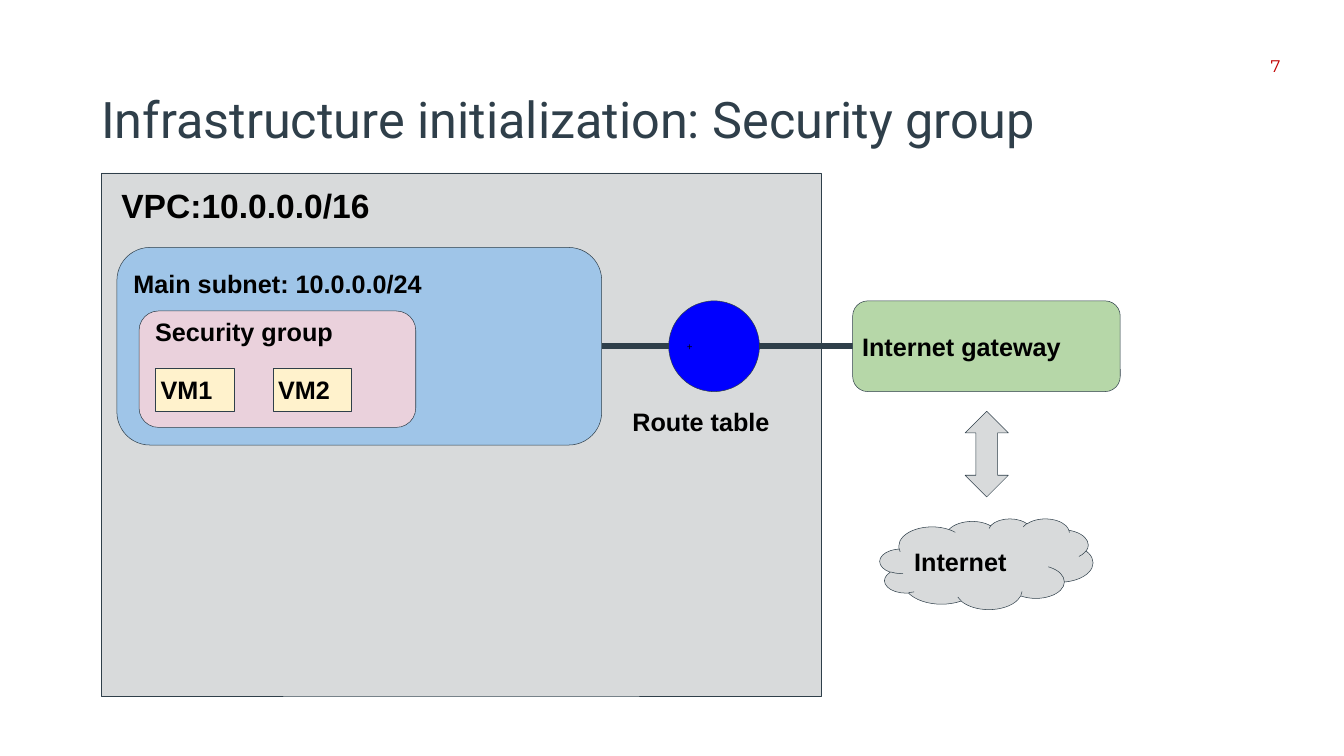
import dataclasses

import pptx
import pptx.dml.color
import pptx.enum.shapes
import pptx.enum.text
import pptx.oxml.ns
import pptx.util
from lxml import etree

PX = 9144
SHAPE = pptx.enum.shapes.MSO_SHAPE
ANCHOR = pptx.enum.text.MSO_ANCHOR
ALIGN = pptx.enum.text.PP_ALIGN


@dataclasses.dataclass(frozen=True)
class Theme:
    """Colours, fonts and type sizes of the slide."""

    ink: str = "2F3F4A"
    text: str = "000000"
    number: str = "C00000"
    grey: str = "D8DADB"
    subnet: str = "9FC5E8"
    group: str = "EAD1DC"
    vm: str = "FFF2CC"
    gateway: str = "B6D7A8"
    router: str = "0000FF"
    title_font: str = "Roboto"
    number_font: str = "Montserrat"
    body_font: str = "Arial"
    title_size: int = 72
    heading_size: int = 48
    body_size: int = 36
    number_size: int = 24
    symbol_size: int = 14
    outline: float = 0.75
    link: int = 9


THEME = Theme()


def px(*lengths):
    """Turn px lengths into EMU."""
    return [pptx.util.Emu(n * PX) for n in lengths]


def rgb(color):
    """Turn a hex string into a colour."""
    return pptx.dml.color.RGBColor.from_string(color)


def within(box, x, y, w, h):
    """Return a box placed relative to the corner of another."""
    return box[0] + x, box[1] + y, w, h


def write(s, text, size=THEME.body_size, font=THEME.body_font, color=THEME.text,
          bold=True, anchor=ANCHOR.MIDDLE, align=ALIGN.LEFT, inset=10):
    """Put one formatted paragraph into a shape."""
    tf = s.text_frame
    tf.text = text
    tf.word_wrap = True
    tf.auto_size = pptx.enum.text.MSO_AUTO_SIZE.NONE
    tf.vertical_anchor = anchor
    tf.margin_left, tf.margin_top, tf.margin_right, tf.margin_bottom = px(*[inset] * 4)
    p = tf.paragraphs[0]
    p.alignment = align
    p.font.size = pptx.util.Pt(size)
    p.font.name = font
    p.font.bold = bold
    p.font.color.rgb = rgb(color)


def add_label(slide, box, text, **style):
    """Add a text box whose text starts at the top."""
    s = slide.shapes.add_textbox(*px(*box))
    write(s, text, **{"anchor": ANCHOR.TOP, **style})


def add_block(slide, kind, box, fill, text=None, **style):
    """Add an outlined shape, with text if there is any."""
    s = slide.shapes.add_shape(kind, *px(*box))
    s.shadow.inherit = False
    s.fill.solid()
    s.fill.fore_color.rgb = rgb(fill)
    s.line.color.rgb = rgb(THEME.ink)
    s.line.width = pptx.util.Pt(THEME.outline)
    if text:
        write(s, text, **style)
    return s


def add_link(slide, x1, x2, y):
    """Add a thick horizontal connector."""
    straight = pptx.enum.shapes.MSO_CONNECTOR.STRAIGHT
    s = slide.shapes.add_connector(straight, *px(x1, y, x2, y))
    s.line.color.rgb = rgb(THEME.ink)
    s.line.width = pptx.util.Pt(THEME.link)
    etree.SubElement(s._element.spPr, pptx.oxml.ns.qn("a:effectLst"))


def add_header(slide, box):
    """Fill the title placeholder and add the page number."""
    s = slide.shapes.title
    s.left, s.top, s.width, s.height = px(*within(box, 0, 54, 2206, 138))
    write(s, "Infrastructure initialization: Security group", THEME.title_size,
          THEME.title_font, THEME.ink, bold=False, inset=0)
    add_label(slide, within(box, 2306, 0, 48, 40), "7", size=THEME.number_size,
              font=THEME.number_font, color=THEME.number, bold=False,
              anchor=ANCHOR.MIDDLE, align=ALIGN.CENTER, inset=0)


def add_security_group(slide, box):
    """Draw the security group and its row of virtual machines."""
    add_block(slide, SHAPE.ROUNDED_RECTANGLE, box, THEME.group)
    add_label(slide, within(box, 22, 0, 451, 86), "Security group")
    for i, name in enumerate(("VM1", "VM2")):
        add_block(slide, SHAPE.RECTANGLE, within(box, 33 + 233 * i, 113, 156, 86),
                  THEME.vm, name)


def add_subnet(slide, box):
    """Draw the subnet around the security group."""
    add_block(slide, SHAPE.ROUNDED_RECTANGLE, box, THEME.subnet)
    add_label(slide, within(box, 23, 31, 730, 113), "Main subnet: 10.0.0.0/24")
    add_security_group(slide, within(box, 44, 126, 549, 231))


def add_vpc(slide, box):
    """Draw the VPC with its subnet, route table and links."""
    add_block(slide, SHAPE.RECTANGLE, box, THEME.grey)
    add_label(slide, within(box, 30, 14, 692, 113), "VPC:10.0.0.0/16",
              size=THEME.heading_size)
    add_subnet(slide, within(box, 31, 148, 962, 392))
    add_block(slide, SHAPE.OVAL, within(box, 1126, 254, 180, 180), THEME.router,
              "+", size=THEME.symbol_size, bold=False)
    add_label(slide, within(box, 1044, 454, 365, 86), "Route table")
    for start, end in ((993, 1126), (1306, 1491)):
        add_link(slide, box[0] + start, box[0] + end, box[1] + 344)


def add_outside(slide, box):
    """Draw the gateway, the internet cloud and the arrow between them."""
    add_block(slide, SHAPE.ROUNDED_RECTANGLE, within(box, 0, 0, 531, 180),
              THEME.gateway, "Internet gateway")
    arrow = add_block(slide, SHAPE.LEFT_RIGHT_ARROW, within(box, 181, 261, 170, 86),
                      THEME.grey)
    arrow.rotation = 90
    add_block(slide, SHAPE.CLOUD, within(box, 54, 432, 423, 180), THEME.grey, "Internet")


def main():
    """Build and save the slide."""
    prs = pptx.Presentation()
    prs.slide_width, prs.slide_height = px(2667, 1500)
    slide = prs.slides.add_slide(prs.slide_layouts[5])
    add_header(slide, (201, 111, 2354, 192))
    add_vpc(slide, (201, 343, 1428, 1038))
    add_outside(slide, (1692, 597, 531, 612))
    prs.save("out.pptx")


if __name__ == "__main__":
    main()
